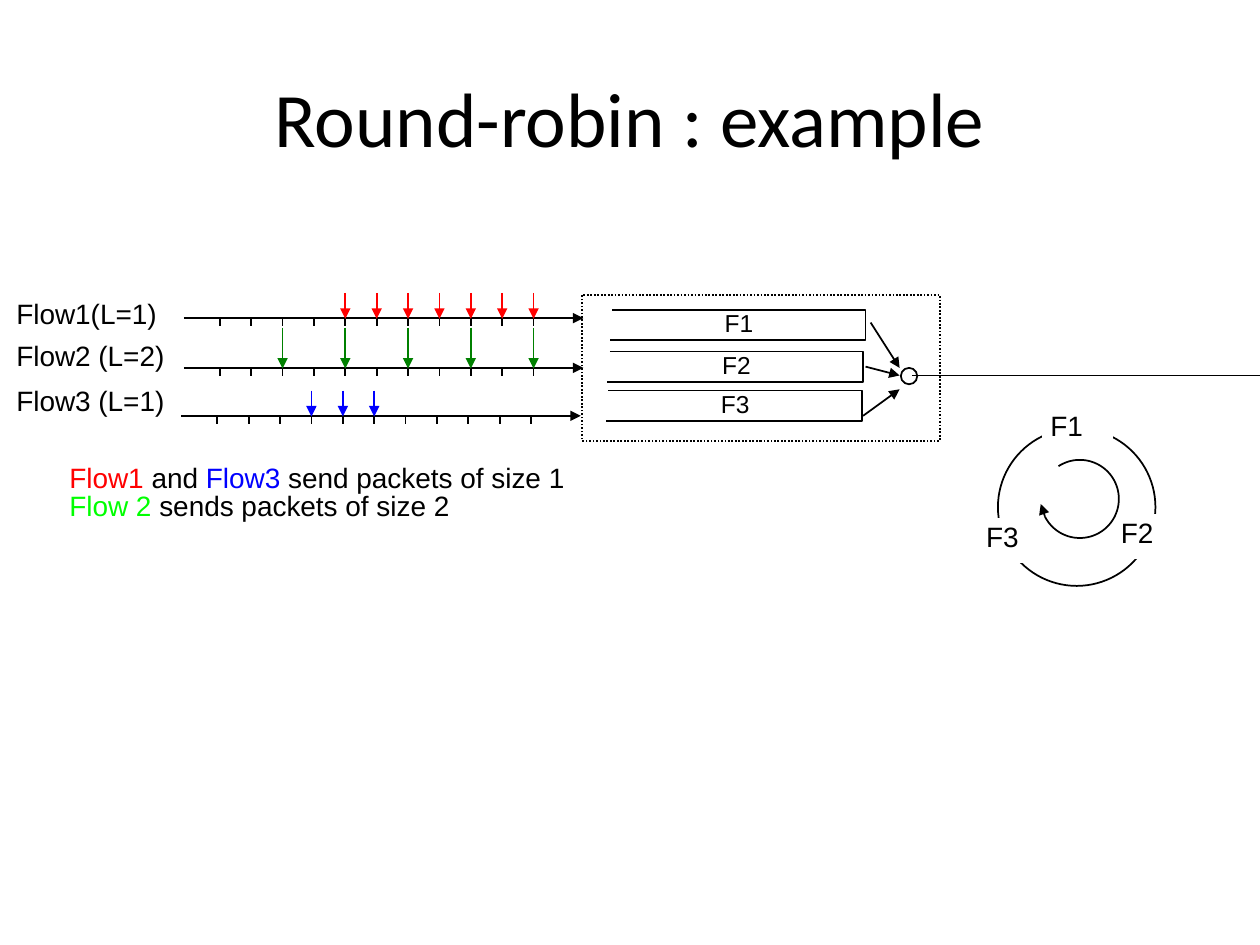
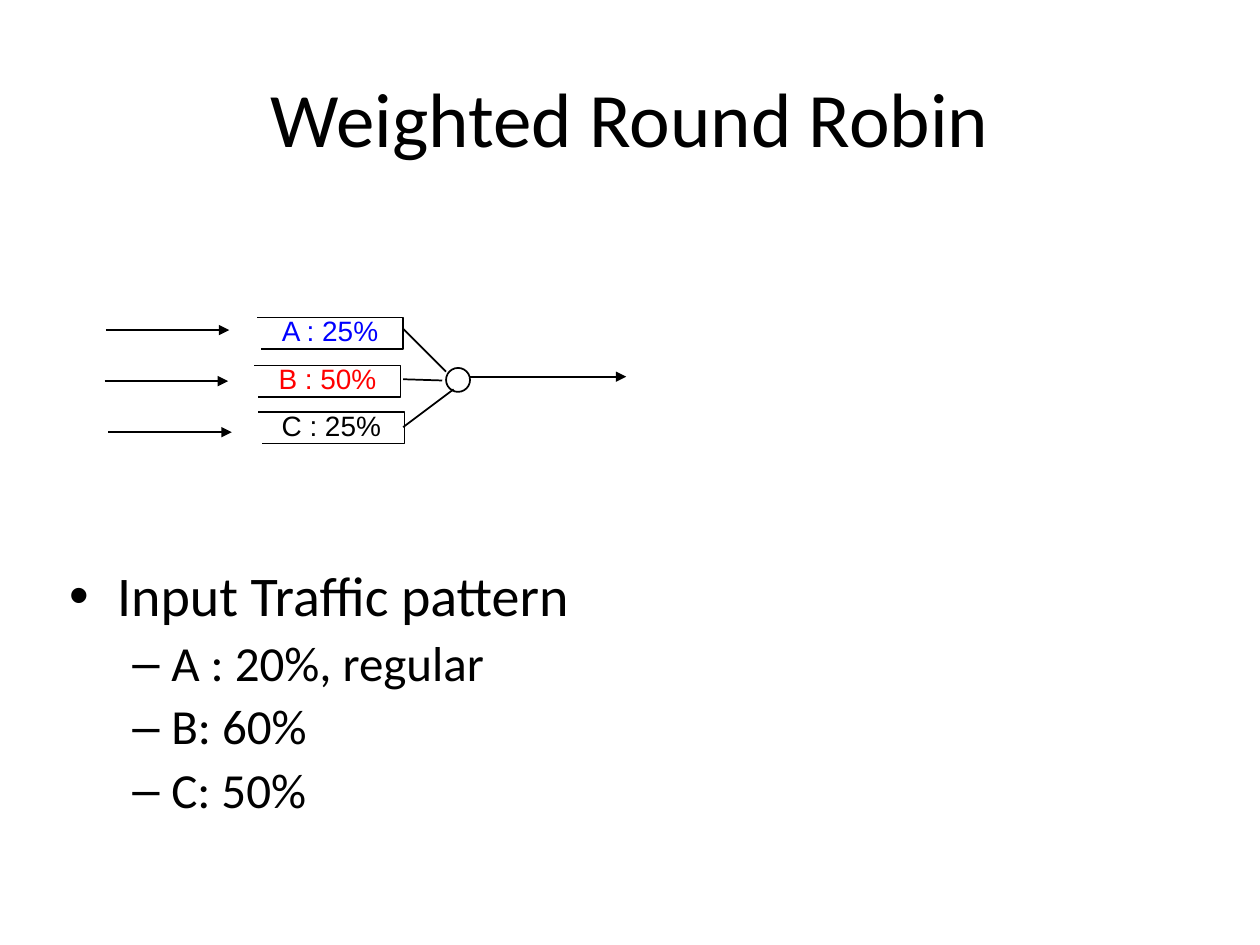
"""Build two slides on round-robin and weighted round-robin scheduling."""
from math import cos, radians, sin

from lxml.etree import SubElement
from pptx import Presentation
from pptx.dml.color import RGBColor
from pptx.enum.dml import MSO_LINE
from pptx.enum.shapes import MSO_CONNECTOR, MSO_SHAPE
from pptx.enum.text import MSO_ANCHOR, PP_ALIGN
from pptx.oxml.ns import qn
from pptx.util import Inches, Pt

BLACK = RGBColor(0x00, 0x00, 0x00)
WHITE = RGBColor(0xFF, 0xFF, 0xFF)
RED = RGBColor(0xFF, 0x00, 0x00)
GREEN = RGBColor(0x00, 0x80, 0x00)
LIME = RGBColor(0x00, 0xFF, 0x00)
BLUE = RGBColor(0x00, 0x00, 0xFF)
HEADING_FONT, LABEL_FONT = "Calibri", "Arial"
OVAL, RECTANGLE = MSO_SHAPE.OVAL, MSO_SHAPE.RECTANGLE
STRAIGHT = MSO_CONNECTOR.STRAIGHT
DOTTED = MSO_LINE.ROUND_DOT
LEFT, CENTER = PP_ALIGN.LEFT, PP_ALIGN.CENTER
TOP, MIDDLE = MSO_ANCHOR.TOP, MSO_ANCHOR.MIDDLE

deck = Presentation()
deck.slide_width, deck.slide_height = Inches(10), Inches(7.5)
CELL = deck.slide_width // 100


def draw_line(page, start, end, color=BLACK, arrow=True):
    ends = [int(value * CELL) for value in (*start, *end)]
    connector = page.shapes.add_connector(STRAIGHT, *ends)
    connector.line.color.rgb = color
    connector.line.width = Pt(1)
    properties = connector._element.spPr
    if arrow:
        SubElement(properties.find(qn("a:ln")), qn("a:tailEnd"), type="triangle")
    SubElement(properties, qn("a:effectLst"))


def write_label(page, area, lines, size=16, align=LEFT, anchor=TOP):
    box = page.shapes.add_textbox(*[int(value * CELL) for value in area])
    frame = box.text_frame
    frame.word_wrap = align == CENTER and anchor == MIDDLE
    frame.vertical_anchor = anchor
    frame.margin_left = frame.margin_right = frame.margin_top = frame.margin_bottom = 0
    for index, line in enumerate(lines):
        para = frame.add_paragraph() if index else frame.paragraphs[0]
        para.alignment = align
        para.line_spacing = 0.84
        for text, color in line:
            span = para.add_run()
            span.text = text
            span.font.name = LABEL_FONT
            span.font.size = Pt(size)
            span.font.color.rgb = color


pages = []
for heading in ("Round-robin : example", "Weighted Round Robin"):
    page = deck.slides.add_slide(deck.slide_layouts[5])
    title = page.shapes.title
    title.left, title.top, title.width, title.height = 5 * CELL, 3 * CELL, 90 * CELL, int(12.5 * CELL)
    title.text_frame.text = heading
    title.text_frame.vertical_anchor = MIDDLE
    para = title.text_frame.paragraphs[0]
    para.alignment = CENTER
    font = para.runs[0].font
    font.name, font.size, font.color.rgb = HEADING_FONT, Pt(44), BLACK
    pages.append(page)
example, weighted = pages

turns = (("F1", 82.8, 32.4), ("F2", 88.4, 40.9), ("F3", 77.7, 41.2))
outlines = [
    (example, RECTANGLE, (46.2, 23.4, 28.4, 11.6), BLACK, DOTTED),
    (example, OVAL, (71.5, 29.2, 1.3, 1.3), BLACK, None),
    (example, OVAL, (79.2, 34, 12.5, 12.5), BLACK, None),
    (weighted, OVAL, (35.4, 29.2, 1.9, 1.9), BLACK, None),
]
outlines += [(example, RECTANGLE, (left, top, 5.5, 3.4), WHITE, None) for _, left, top in turns]
for page, kind, area, color, dash in outlines:
    shape = page.shapes.add_shape(kind, *[int(value * CELL) for value in area])
    shape.shadow.inherit = False
    shape.line.color.rgb = color
    shape.line.width = Pt(1)
    if dash:
        shape.line.dash_style = dash
    if color == WHITE:
        shape.fill.solid()
        shape.fill.fore_color.rgb = WHITE
    else:
        shape.fill.background()
for name, left, top in turns:
    write_label(example, (left + 0.5, top + 0.45, 2.7, 2.6), [[(name, BLACK)]], align=CENTER)

queues = (
    (example, "F1", BLACK, 14, 48.6, 24.6, 20.1, 2.4, -0.2),
    (example, "F2", BLACK, 14, 48.4, 27.9, 20.1, 2.4, -0.2),
    (example, "F3", BLACK, 14, 48.3, 31, 20.1, 2.4, -0.2),
    (weighted, "A : 25%", BLUE, 16, 20.4, 25.2, 11.6, 2.5, 0.3),
    (weighted, "B : 50%", RED, 16, 20.2, 29, 11.6, 2.5, 0.3),
    (weighted, "C : 25%", BLACK, 16, 20.5, 32.7, 11.6, 2.5, 0.3),
)
open_paths = []
for page, name, color, size, left, top, width, height, indent in queues:
    right, bottom = left + width, top + height
    open_paths.append((page, [(left, top), (right, top), (right, bottom), (left + indent, bottom)]))
    write_label(page, (left, top, width, height), [[(name, color)]], size, CENTER, MIDDLE)

swirl = [(85.7 + 3.1 * cos(radians(angle)), 39.6 + 3.1 * sin(radians(angle)))
         for angle in range(153, -124, -3)]
open_paths.append((example, swirl))
for page, points in open_paths:
    corners = [(x * CELL, y * CELL) for x, y in points]
    builder = page.shapes.build_freeform(*corners[0])
    builder.add_line_segments(corners[1:], close=False)
    outline = builder.convert_to_shape()
    outline.shadow.inherit = False
    outline.fill.background()
    outline.line.color.rgb = BLACK
    outline.line.width = Pt(1)
draw_line(example, swirl[0], (82.6, 40))

flows = (
    ("Flow1(L=1)", 24, 14.6, 25.25, RED, 2, range(4, 11)),
    ("Flow2 (L=2)", 27.3, 14.6, 29.2, GREEN, 3.2, range(2, 11, 2)),
    ("Flow3 (L=1)", 30.9, 14.4, 33, BLUE, 2, range(3, 6)),
)
for name, label_top, left, axis, color, length, packets in flows:
    write_label(example, (1.3, label_top, 12.6, 2.6), [[(name, BLACK)]])
    draw_line(example, (left, axis), (left + 31.7, axis))
    for slot in range(11):
        x = left + 2.85 + 2.49 * slot
        draw_line(example, (x, axis), (x, axis + 0.65), arrow=False)
        if slot in packets:
            draw_line(example, (x, axis - length), (x, axis + 0.05), color)

write_label(example, (5.5, 37, 40.2, 4.9), [
    [("Flow1", RED), (" and ", BLACK), ("Flow3", BLUE), (" send packets of size 1", BLACK)],
    [("Flow 2", LIME), (" sends packets of size 2", BLACK)],
])

for start, end in (((69.1, 25.6), (71.4, 29.2)), ((68.7, 29.1), (71.4, 29.8)), ((68.5, 33), (71.4, 30.9))):
    draw_line(example, start, end)
draw_line(example, (72.4, 29.8), (100, 29.8), arrow=False)

for start, end in (((32, 26.1), (35.4, 29.5)), ((32, 30.1), (35.1, 30.2)), ((32, 33.9), (36, 30.9))):
    draw_line(weighted, start, end, arrow=False)
for left, axis, length in ((8.4, 26.2, 9.8), (8.3, 30.25, 9.8), (8.6, 34.3, 9.8), (37.2, 29.9, 12.5)):
    draw_line(weighted, (left, axis), (left + length, axis))

body = weighted.shapes.add_textbox(5 * CELL, int(44.6 * CELL), 90 * CELL, int(22.4 * CELL))
frame = body.text_frame
frame.word_wrap = True
frame.margin_left = frame.margin_right = frame.margin_top = frame.margin_bottom = CELL // 2
bullet_styles = (("•", 32, 7, 0.38, 0.38), ("–", 28, 6, 0.81, 0.31))
frame.text = "Input Traffic pattern\nA : 20%, regular\nB: 60%\nC: 50%"
for index, para in enumerate(frame.paragraphs):
    para.level = min(index, 1)
    bullet, size, gap, margin, hanging = bullet_styles[para.level]
    para.line_spacing = 0.9
    para.space_before = Pt(gap)
    properties = para._p.get_or_add_pPr()
    properties.set("marL", str(Inches(margin)))
    properties.set("indent", str(-Inches(hanging)))
    SubElement(properties, qn("a:buFont"), typeface=LABEL_FONT)
    SubElement(properties, qn("a:buChar"), char=bullet)
    font = para.runs[0].font
    font.name, font.size, font.color.rgb = HEADING_FONT, Pt(size), BLACK

deck.save("out.pptx")
